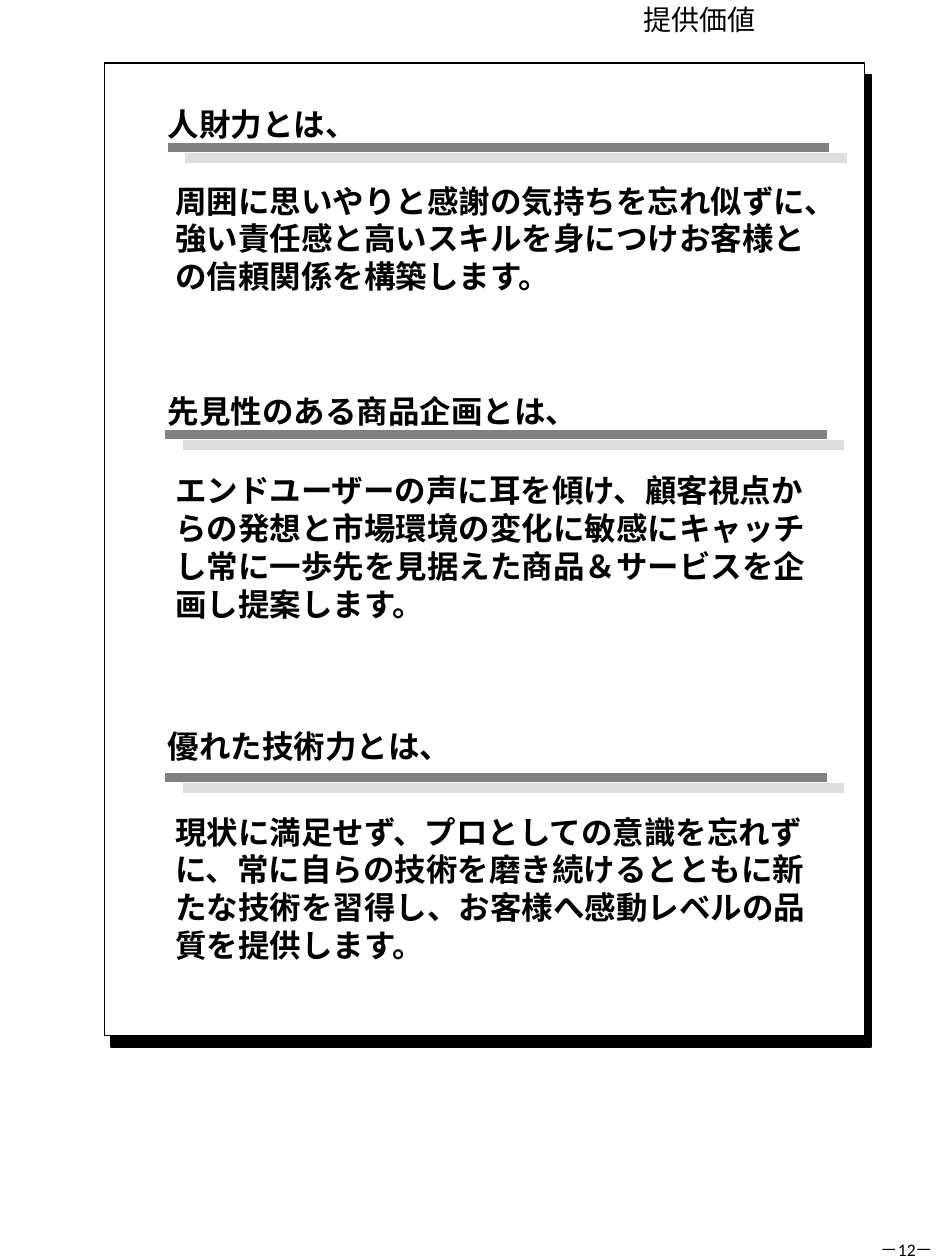
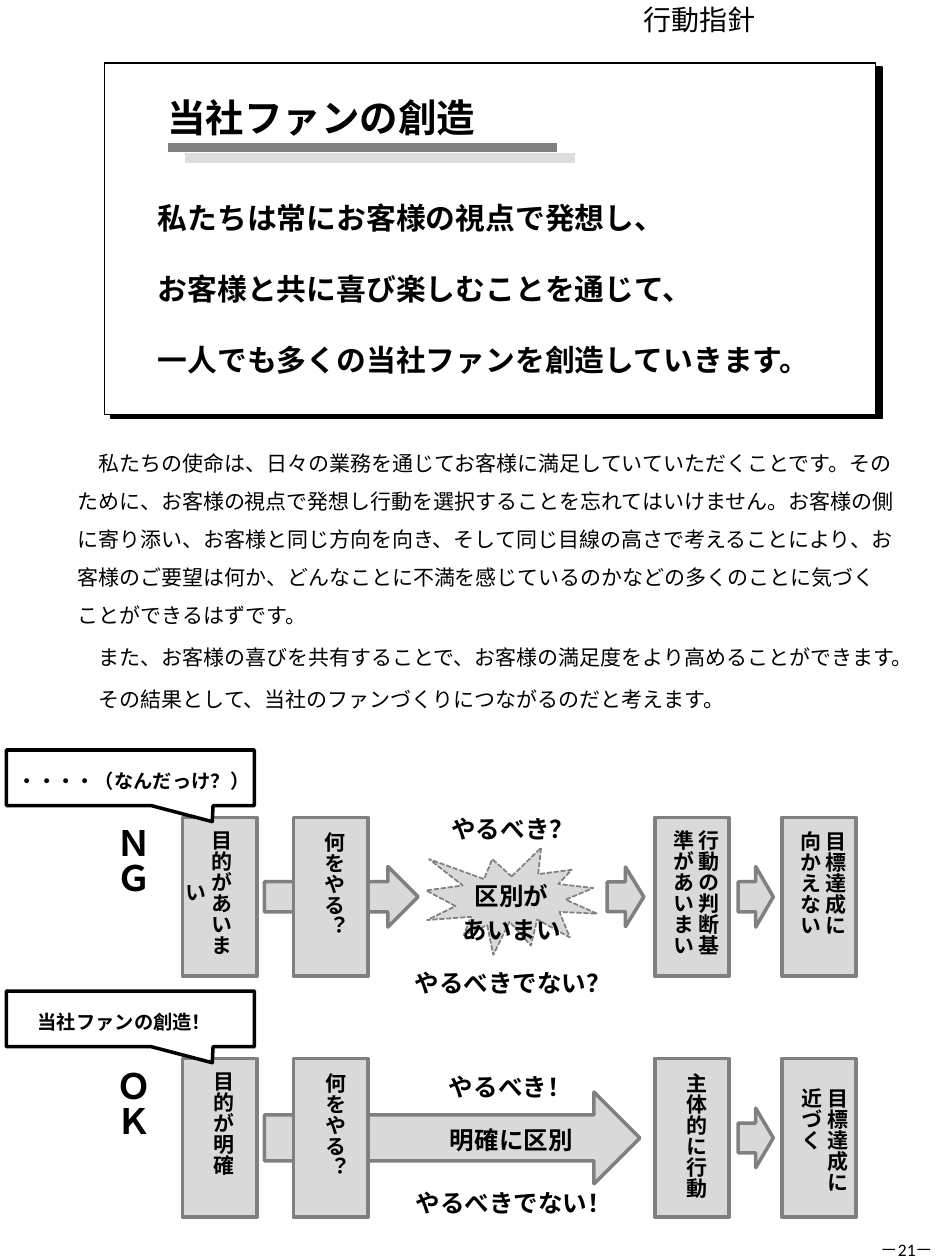
from dataclasses import dataclass

from lxml.etree import SubElement
from pptx import Presentation
from pptx.dml.color import RGBColor
from pptx.enum.dml import MSO_LINE
from pptx.enum.shapes import MSO_CONNECTOR, MSO_SHAPE
from pptx.enum.text import MSO_AUTO_SIZE, PP_ALIGN
from pptx.oxml.ns import qn
from pptx.util import Cm, Pt

# ---- Content (positions and sizes in cm) ----
VALUES = {
    "title": "提供価値",
    "page": "－12－",
    # heading, heading top, heading width, rule left, rule y, body, body top, body height
    "sections": [
        ("人財力とは、", 2.11, 3.86, 3.38, 2.97,
         "周囲に思いやりと感謝の気持ちを忘れ似ずに、強い責任感と高いスキルを身につけ"
         "お客様との信頼関係を構築します。", 3.66, 2.31),
        ("先見性のある商品企画とは、", 7.9, 8.33, 3.33, 8.76,
         "エンドユーザーの声に耳を傾け、顧客視点からの発想と市場環境の変化に敏感に"
         "キャッチし常に一歩先を見据えた商品＆サービスを企画し提案します。", 9.5, 3.07),
        ("優れた技術力とは、", 14.66, 5.77, 3.33, 15.67,
         "現状に満足せず、プロとしての意識を忘れずに、常に自らの技術を磨き続けるとともに"
         "新たな技術を習得し、お客様へ感動レベルの品質を提供します。", 16.38, 3.07),
    ],
}

GUIDELINE = {
    "title": "行動指針",
    "page": "－21－",
    "heading": "当社ファンの創造",
    "pledge": [
        "私たちは常にお客様の視点で発想し、",
        "お客様と共に喜び楽しむことを通じて、",
        "一人でも多くの当社ファンを創造していきます。",
    ],
    "explanation": [
        "私たちの使命は、日々の業務を通じてお客様に満足していていただくことです。"
        "そのために、お客様の視点で発想し行動を選択することを忘れてはいけません。"
        "お客様の側に寄り添い、お客様と同じ方向を向き、そして同じ目線の高さで考えることにより、"
        "お客様のご要望は何か、どんなことに不満を感じているのかなどの多くのことに気づくことが"
        "できるはずです。",
        "また、お客様の喜びを共有することで、お客様の満足度をより高めることができます。",
        "その結果として、当社のファンづくりにつながるのだと考えます。",
    ],
}

# Each row: vertical steps and verdicts as (lines, left, offset from row top, width, height)
FLOWS = [
    {
        "top": 16.48,
        "verdict": (["ＮＧ"], 1.85, -0.07, 1.37, 3.3),
        "thought": ("・・・・（なんだっけ？）", 0.36, 4.7),
        "arrows": [(5.33, 3.1, 1.22), (12.24, 0.74, 1.2), (14.88, 0.71, 1.22)],
        "burst": (8.59, 0.61, 3.45, 2.16),
        "centred_steps": [
            (["目的があいまい"], 3.81, 0, 1.02, 3.3),
            (["何をやる？"], 6.1, 0.05, 1.02, 3.2),
            (["目標達成に", "向かえない"], 15.67, 0.03, 1.55, 3.2),
        ],
        "left_steps": [(["行動の判断基準があいまい"], 13.11, 0, 1.55, 3.3)],
        "choices": [
            (["やるべき？"], 7.47, -0.2, 5.74, 0.86),
            (["区別が", "あいまい"], 8.74, 1.15, 3.15, 1.57),
            (["やるべきでない？"], 7.47, 2.9, 5.74, 0.86),
        ],
    },
    {
        "top": 21.34,
        "verdict": (["ＯＫ"], 1.85, -0.03, 1.37, 3.3),
        "thought": ("当社ファンの創造！", 0.76, 3.91),
        "arrows": [(5.33, 7.57, 1.85), (14.88, 0.71, 1.2)],
        "burst": None,
        "centred_steps": [
            (["目的が明確"], 3.86, 0, 1.02, 3.2),
            (["何をやる？"], 6.12, 0.05, 1.02, 3.2),
            (["主体的に行動"], 13.39, 0.05, 1.02, 3.12),
        ],
        "left_steps": [(["目標達成に", "近づく"], 15.7, 0.35, 1.55, 2.84)],
        "choices": [
            (["やるべき！"], 7.42, 0.15, 5.74, 0.86),
            (["明確に区別"], 8.71, 1.22, 3.2, 0.86),
            (["やるべきでない！"], 7.54, 2.49, 5.64, 0.86),
        ],
    },
]
STEP_LEFTS = (3.68, 5.92, 13.2, 15.76)
STEP_WIDTH, STEP_HEIGHT = 1.5, 3.2


@dataclass(frozen=True)
class Theme:
    black: RGBColor = RGBColor(0, 0, 0)
    white: RGBColor = RGBColor(255, 255, 255)
    grey: RGBColor = RGBColor(0x80, 0x80, 0x80)
    pale: RGBColor = RGBColor(0xD9, 0xD9, 0xD9)
    rule_shadow: str = "DDDDDD"
    japanese: str = "Noto Sans CJK JP"
    latin: str = "Calibri"
    page: int = 10
    thought: int = 11
    text: int = 12
    choice: int = 14
    title: int = 16
    pledge: int = 17
    section: int = 18
    verdict: int = 20
    heading: int = 22


THEME = Theme()


def add_text(slide, lines, left, top, width, height, size, *, bold=True, face=THEME.japanese,
             align=None, inset=True, wrap=True, grow=True, vertical=False,
             spacing=None, gap=0, indent=0):
    """Add a text box; gap is the space between paragraphs as a share of the type size."""
    frame = slide.shapes.add_textbox(Cm(left), Cm(top), Cm(width), Cm(height)).text_frame
    frame_format = {"word_wrap": wrap}
    if grow:
        frame_format["auto_size"] = MSO_AUTO_SIZE.SHAPE_TO_FIT_TEXT
    if not inset:
        frame_format |= dict.fromkeys(
            ("margin_left", "margin_top", "margin_right", "margin_bottom"), 0)
    apply_format(frame, frame_format)
    if vertical:
        frame._txBody.bodyPr.set("vert", "eaVert")

    for index, line in enumerate(lines):
        paragraph = frame.paragraphs[0] if index == 0 else frame.add_paragraph()
        apply_format(paragraph, {"alignment": align, "line_spacing": spacing})
        if index and gap:
            paragraph.space_before = Pt(size * gap)
        if indent:
            paragraph._p.get_or_add_pPr().set("indent", str(Pt(indent)))
        run = paragraph.add_run()
        run.text = line
        apply_format(run.font, {"name": face, "size": Pt(size), "bold": bold})
        run.font.color.rgb = THEME.black
        SubElement(run._r.get_or_add_rPr(), qn("a:ea"), typeface=face)


def apply_format(target, values):
    for attribute, value in values.items():
        setattr(target, attribute, value)


def add_box(slide, kind, left, top, width, height, fill, edge, weight):
    box = slide.shapes.add_shape(kind, Cm(left), Cm(top), Cm(width), Cm(height))
    box.shadow.inherit = False
    box.fill.solid()
    box.fill.fore_color.rgb = fill
    box.line.color.rgb = edge
    box.line.width = Pt(weight)
    return box


def add_panel(slide, width, height, drop):
    left, top = 2.11, 1.27
    for dx, dy, fill in ((0.13, drop, THEME.black), (0, 0, THEME.white)):
        add_box(slide, MSO_SHAPE.RECTANGLE, left + dx, top + dy, width, height,
                fill, THEME.black, 0.75)


def add_rule(slide, left, y, length):
    """Draw a thick grey rule with a pale offset shadow."""
    rule = slide.shapes.add_connector(
        MSO_CONNECTOR.STRAIGHT, Cm(left), Cm(y), Cm(left + length), Cm(y))
    rule.line.color.rgb = THEME.grey
    rule.line.width = Pt(5.5)
    effects = SubElement(rule._element.spPr, qn("a:effectLst"))
    shadow = SubElement(effects, qn("a:outerShdw"), dist=str(Pt(11.7)),
                        dir=str(31 * 60000), algn="ctr", rotWithShape="0")
    SubElement(shadow, qn("a:srgbClr"), val=THEME.rule_shadow)


def add_page(deck, content):
    slide = deck.slides.add_slide(deck.slide_layouts[6])
    add_text(slide, [content["title"]], 12.73, -0.08, 6.27, 0.94, THEME.title,
             bold=False, align=PP_ALIGN.JUSTIFY)
    add_text(slide, [content["page"]], 17.53, 24.98, 1.5, 0.42, THEME.page, bold=False,
             face=THEME.latin, align=PP_ALIGN.CENTER, inset=False, grow=False)
    return slide


def build_values(deck):
    slide = add_page(deck, VALUES)
    add_panel(slide, 15.32, 19.61, 0.23)
    for (heading, heading_top, heading_width, rule_left, rule_y,
         body, body_top, body_height) in VALUES["sections"]:
        add_text(slide, [heading], 3.38, heading_top, heading_width, 0.76, THEME.section,
                 inset=False, wrap=False)
        add_rule(slide, rule_left, rule_y, 13.34)
        add_text(slide, [body], 3.53, body_top, 13.13, body_height, THEME.section, inset=False)


def add_flow(slide, flow):
    top = flow["top"]
    middle = top + STEP_HEIGHT / 2
    grey_box = (THEME.pale, THEME.grey)

    for left, width, height in flow["arrows"]:
        add_box(slide, MSO_SHAPE.RIGHT_ARROW, left, middle - height / 2, width, height,
                *grey_box, 2)
    for left in STEP_LEFTS:
        add_box(slide, MSO_SHAPE.RECTANGLE, left, top, STEP_WIDTH, STEP_HEIGHT, *grey_box, 2)
    if flow["burst"]:
        left, offset, width, height = flow["burst"]
        burst = add_box(slide, MSO_SHAPE.EXPLOSION1, left, top + offset, width, height,
                        *grey_box, 1)
        burst.line.dash_style = MSO_LINE.SQUARE_DOT

    centred = PP_ALIGN.CENTER
    for labels, size, align, vertical in (
        ([flow["verdict"]], THEME.verdict, centred, True),
        (flow["centred_steps"], THEME.text, centred, True),
        (flow["left_steps"], THEME.text, None, True),
        (flow["choices"], THEME.choice, centred, False),
    ):
        for lines, left, offset, width, height in labels:
            add_text(slide, lines, left, top + offset, width, height, size, align=align,
                     vertical=vertical, gap=0 if vertical else 0.2)

    callout = add_box(slide, MSO_SHAPE.RECTANGULAR_CALLOUT, 0.13, top - 1.36, 5, 1.12,
                      THEME.white, THEME.black, 2)
    callout.adjustments[0], callout.adjustments[1] = 0.33, 0.79
    thought, left, width = flow["thought"]
    add_text(slide, [thought], left, top - 0.98, width, 0.48, THEME.thought,
             inset=False, wrap=False)


def build_guideline(deck):
    slide = add_page(deck, GUIDELINE)
    add_panel(slide, 15.54, 7.09, 0.08)
    add_text(slide, [GUIDELINE["heading"]], 3.38, 1.9, 6.53, 0.94, THEME.heading,
             inset=False, wrap=False)
    add_rule(slide, 3.38, 2.97, 7.85)
    add_text(slide, GUIDELINE["pledge"], 3.18, 3.66, 13.13, 4.04, THEME.pledge,
             inset=False, spacing=1.5, gap=0.6)
    add_text(slide, GUIDELINE["explanation"], 1.32, 8.71, 16.99, 4.95, THEME.text,
             bold=False, spacing=1.5, gap=0.2, indent=THEME.text)
    for flow in FLOWS:
        add_flow(slide, flow)


def main():
    deck = Presentation()
    apply_format(deck, {"slide_width": Cm(19.05), "slide_height": Cm(25.4)})
    build_values(deck)
    build_guideline(deck)
    deck.save("out.pptx")


if __name__ == "__main__":
    main()
